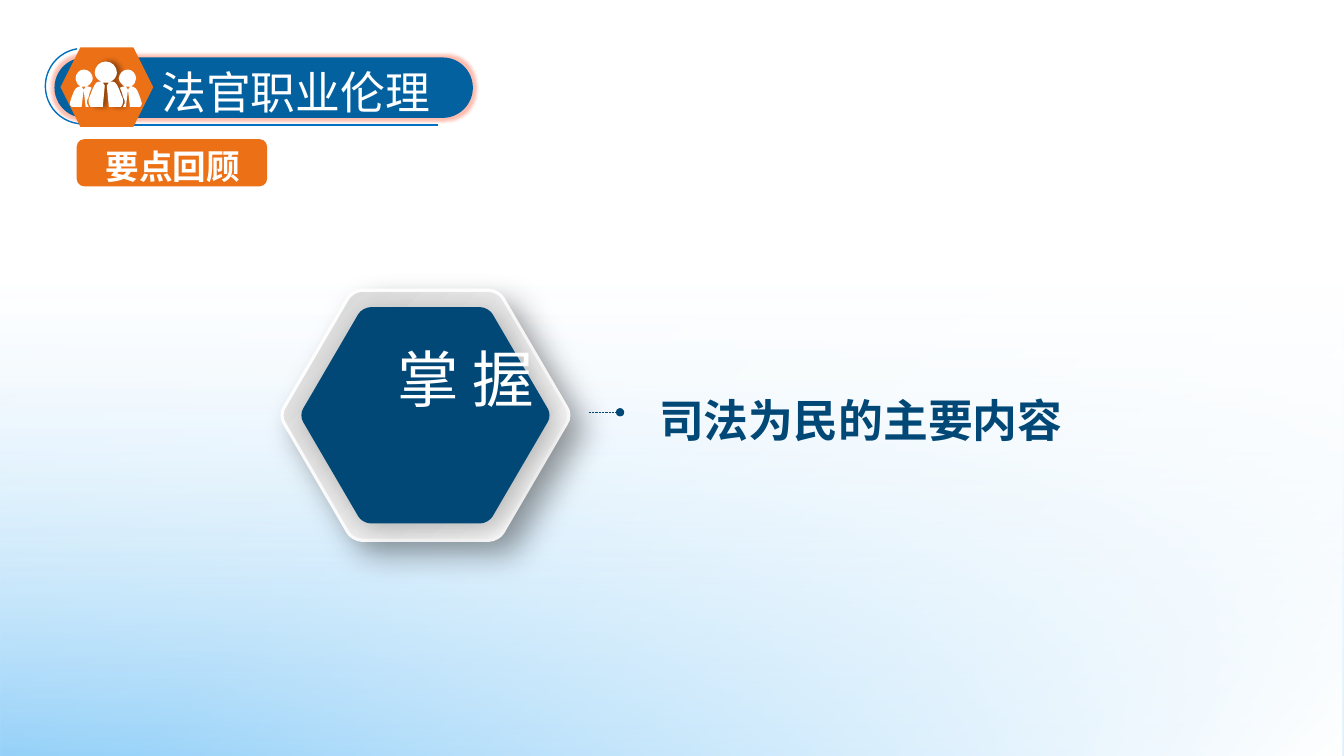
from pptx import Presentation
from pptx.dml.color import RGBColor
from pptx.enum.dml import MSO_LINE
from pptx.enum.shapes import MSO_CONNECTOR, MSO_SHAPE as SHAPE
from pptx.enum.text import MSO_ANCHOR, MSO_AUTO_SIZE, PP_ALIGN
from pptx.oxml import parse_xml
from pptx.oxml.ns import nsdecls, qn
from pptx.util import Inches, Pt
from lxml import etree

WHITE = RGBColor(0xFF, 0xFF, 0xFF)
BLACK = RGBColor(0, 0, 0)
SKY = RGBColor(0x67, 0xBD, 0xF6)
OUTLINE_BLUE = RGBColor(0x00, 0x70, 0xC0)
BANNER_BLUE = RGBColor(0x04, 0x61, 0xA0)
NAVY = RGBColor(0x01, 0x48, 0x77)
ORANGE = RGBColor(0xEC, 0x70, 0x16)
GLOW = RGBColor(0xFF, 0x5A, 0x36)
SILVER = RGBColor(0xD9, 0xD9, 0xDA)
SANS, SERIF = "Noto Sans CJK SC", "Times New Roman"

TITLE = "法官职业伦理"
TEXTS = [
    ("要点回顾", (0.95, 1.36, 2.32, 0.51), 24, WHITE, True, 1.1, PP_ALIGN.LEFT),
    ("掌 握", (3.84, 3.33, 1.71, 0.84), 44, WHITE, False, 1, PP_ALIGN.LEFT),
    ("司法为民的主要内容", (6.15, 3.74, 4.78, 0.7), 32, NAVY, True, 1.2, PP_ALIGN.CENTER),
]
BACKDROPS = [
    ([(0, WHITE, 0), (37, WHITE, 25), (100, SKY, 88)], 90),
    ([(0, WHITE, 0), (42, WHITE, 25), (100, WHITE, 100)], 45),
]

HALF_HEXAGON = [
    (0.63, -1.24), (0.68, -1.24, 0.75, -1.2, 0.77, -1.16),
    (1.4, -0.08), (1.43, -0.04, 1.43, 0.04, 1.4, 0.08),
    (0.77, 1.16), (0.75, 1.2, 0.68, 1.24, 0.63, 1.24),
]
HALF_LEADER = [
    (0, 0.61), (0.06, 0.61, 0.11, 0.66, 0.11, 0.72),
    (0.11, 0.76, 0.08, 0.8, 0.04, 0.81), (0.07, 0.81),
    (0.12, 0.81, 0.15, 0.95, 0.17, 0.98), (0.18, 1.03, 0.15, 1.06, 0.15, 1.06),
    (0.03, 1.06), (0.01, 0.85), (0.03, 0.82),
]
COLLEAGUE = [
    (0.35, 1), (0.34, 0.97, 0.31, 0.86, 0.27, 0.86), (0.25, 0.86),
    (0.28, 0.84, 0.3, 0.81, 0.3, 0.78), (0.3, 0.73, 0.26, 0.69, 0.22, 0.69),
    (0.17, 0.69, 0.13, 0.73, 0.13, 0.78), (0.13, 0.81, 0.16, 0.84, 0.19, 0.86),
    (0.17, 0.86), (0.16, 0.86, 0.15, 0.86, 0.14, 0.87),
    (0.15, 0.9, 0.17, 0.93, 0.17, 0.96), (0.18, 0.97, 0.18, 0.97, 0.18, 0.98),
    (0.2, 1.02, 0.18, 1.04, 0.17, 1.06), (0.2, 1.06), (0.22, 0.89),
    (0.2, 0.86), (0.24, 0.86), (0.22, 0.89), (0.24, 1.06), (0.34, 1.06),
    (0.34, 1.06, 0.37, 1.04, 0.35, 1),
]

deck = Presentation()
deck.slide_width, deck.slide_height = Inches(13.33), Inches(7.5)
slide = deck.slides.add_slide(deck.slide_layouts[5])
shapes = slide.shapes


def color_xml(color, alpha):
    return f'<a:srgbClr val="{color}"><a:alpha val="{alpha * 1000}"/></a:srgbClr>'


def fill_gradient(shape, stops, angle):
    stop_xml = "".join(f'<a:gs pos="{pos * 1000}">{color_xml(color, alpha)}</a:gs>'
                       for pos, color, alpha in stops)
    shape.element.spPr.insert(2, parse_xml(
        f'<a:gradFill {nsdecls("a")} rotWithShape="1"><a:gsLst>{stop_xml}</a:gsLst>'
        f'<a:lin ang="{angle * 60000}" scaled="0"/></a:gradFill>'))


def add_effect(shape, tag, attributes, color, alpha):
    shape.element.spPr.find(qn("a:effectLst")).append(parse_xml(
        f'<a:{tag} {nsdecls("a")} {attributes}>{color_xml(color, alpha)}</a:{tag}>'))


def add_shadow(shape, alpha, blur, distance, angle):
    add_effect(shape, "outerShdw",
               f'blurRad="{Pt(blur)}" dist="{Pt(distance)}" dir="{angle * 60000}" '
               'algn="ctr" rotWithShape="0"', BLACK, alpha)


def finish(shape, fill=None):
    shape.shadow.inherit = False
    shape.line.fill.background()
    if fill is not None:
        shape.fill.solid()
        shape.fill.fore_color.rgb = fill
    return shape


def add_preset(kind, box, fill=None):
    return finish(shapes.add_shape(kind, *map(Inches, box)), fill)


def trace(segments):
    return [(segment[i], segment[i + 1], i + 2 < len(segment))
            for segment in segments for i in range(0, len(segment), 2)]


def mirror(points):
    return [(-x, y, is_handle) for x, y, is_handle in reversed(points)]


def add_outline(points, center_x, center_y=0, scale=1, fill=None):
    placed = [(Inches(center_x + x * scale), Inches(center_y + y * scale)) for x, y, _ in points]
    builder = shapes.build_freeform(*placed[0], scale=1.0)
    builder.add_line_segments(placed[1:], close=True)
    outline = builder.convert_to_shape()
    steps = list(outline.element.iter(qn("a:lnTo")))
    curve = None
    for step, (_, _, is_handle) in zip(steps, points[1:]):
        if is_handle and curve is None:
            curve = etree.Element(qn("a:cubicBezTo"))
            step.addprevious(curve)
        if curve is not None:
            curve.append(step[0])
            step.getparent().remove(step)
        if not is_handle:
            curve = None
    return finish(outline, fill)


def add_line(start, end, color, width):
    line = shapes.add_connector(MSO_CONNECTOR.STRAIGHT, *map(Inches, start + end))
    line.line.color.rgb = color
    line.line.width = Pt(width)
    etree.SubElement(line.element.spPr, qn("a:effectLst"))
    return line


def write(holder, text, size, color, font, bold=False, spacing=1, align=PP_ALIGN.LEFT):
    frame = holder.text_frame
    frame.text = text
    frame.word_wrap = True
    frame.auto_size = MSO_AUTO_SIZE.NONE
    frame.vertical_anchor = MSO_ANCHOR.TOP
    paragraph = frame.paragraphs[0]
    paragraph.alignment, paragraph.line_spacing = align, spacing
    run = paragraph.runs[0]
    run.font.size, run.font.bold, run.font.name = Pt(size), bold, font
    run.font.color.rgb = color
    etree.SubElement(run.font._element, qn("a:ea")).set("typeface", SANS)


for stops, angle in BACKDROPS:
    fill_gradient(add_preset(SHAPE.RECTANGLE, (0, 0, 13.33, 7.5)), stops, angle)

arc = add_preset(SHAPE.ARC, (0.45, 0.48, 0.75, 0.75))
arc.fill.background()
arc.adjustments[0], arc.adjustments[1] = 53.91, 156.32
arc.line.color.rgb = OUTLINE_BLUE
arc.line.width = Pt(1)
add_line((0.83, 1.24), (4.34, 1.24), OUTLINE_BLUE, 1)
banner = add_preset(SHAPE.ROUNDED_RECTANGLE, (0.54, 0.57, 4.15, 0.6), BANNER_BLUE)
banner.adjustments[0] = 0.5
add_effect(banner, "glow", f'rad="{Pt(5)}"', GLOW, 40)

title = shapes.title
title.left, title.top, title.width, title.height = map(Inches, (1.5, 0.59, 3.76, 0.64))
write(title, TITLE, 32, WHITE, SERIF)
shapes.element.append(title.element)

add_preset(SHAPE.HEXAGON, (0.6, 0.47, 0.92, 0.79), ORANGE)
half_leader, colleague = trace(HALF_LEADER), trace(COLLEAGUE)
leader = add_outline(half_leader + mirror(half_leader), 1.05, fill=WHITE)
add_shadow(leader, 40, 4, 3, 0)
for person in (mirror(colleague), colleague):
    add_outline(person, 1.05, fill=WHITE)

add_preset(SHAPE.ROUNDED_RECTANGLE, (0.76, 1.38, 1.89, 0.47), ORANGE)

half_hexagon = trace(HALF_HEXAGON)
hexagon = half_hexagon + mirror(half_hexagon)
rim = add_outline(hexagon, 4.22, 4.12)
fill_gradient(rim, [(0, SILVER, 100), (100, WHITE, 100)], 45)
rim.line.color.rgb = WHITE
rim.line.width = Pt(2.25)
add_shadow(rim, 35, 22, 13, 45)
core = add_outline(hexagon, 4.22, 4.12, 0.865, NAVY)
add_shadow(core, 28, 22, 6, 45)

for text, box, size, color, bold, spacing, align in TEXTS:
    write(shapes.add_textbox(*map(Inches, box)), text, size, color, SANS, bold, spacing, align)

pointer = add_line((5.84, 4.09), (6.15, 4.09), NAVY, 0.5)
pointer.line.dash_style = MSO_LINE.ROUND_DOT
etree.SubElement(pointer.line._get_or_add_ln(), qn("a:tailEnd")).set("type", "oval")

deck.save("out.pptx")
